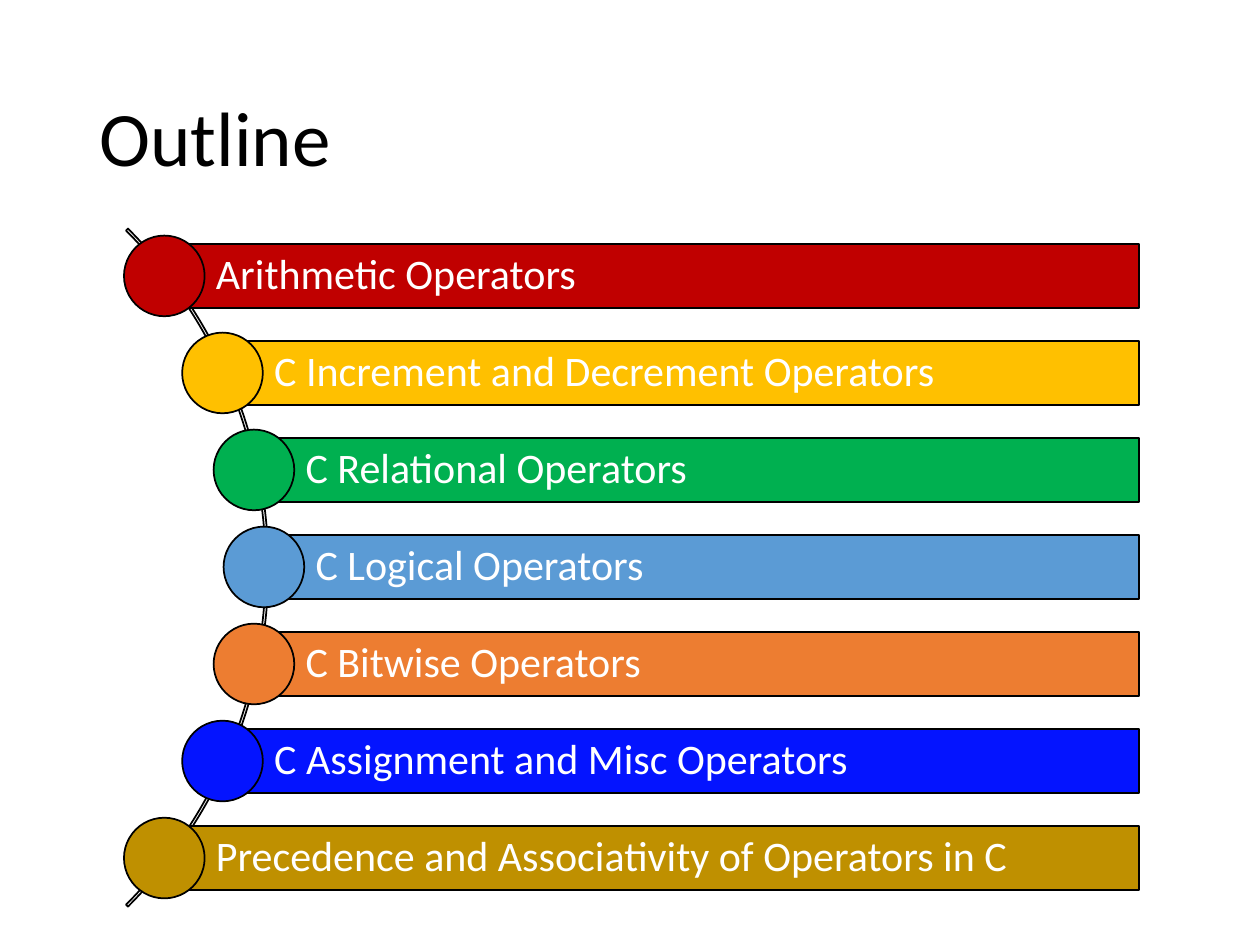
from math import sqrt

from pptx import Presentation
from pptx.dml.color import RGBColor
from pptx.enum.shapes import MSO_SHAPE
from pptx.enum.text import MSO_ANCHOR, PP_ALIGN
from pptx.util import Inches, Pt

BLACK = RGBColor(0x00, 0x00, 0x00)
WHITE = RGBColor(0xFF, 0xFF, 0xFF)
RED = RGBColor(0xC0, 0x00, 0x00)
AMBER = RGBColor(0xFF, 0xC0, 0x00)
GREEN = RGBColor(0x00, 0xB0, 0x50)
SKY = RGBColor(0x5B, 0x9B, 0xD5)
ORANGE = RGBColor(0xED, 0x7D, 0x31)
BLUE = RGBColor(0x04, 0x14, 0xFF)
GOLD = RGBColor(0xBF, 0x90, 0x00)

TOPICS = [
    ("Arithmetic Operators", RED),
    ("C Increment and Decrement Operators", AMBER),
    ("C Relational Operators", GREEN),
    ("C Logical Operators", SKY),
    ("C Bitwise Operators", ORANGE),
    ("C Assignment and Misc Operators", BLUE),
    ("Precedence and Associativity of Operators in C", GOLD),
]

ARC_LEFT, ARC_TOP, ARC_SIZE = -5.48, 0.7, 7.61
ARC_X = ARC_LEFT + ARC_SIZE / 2
DOT_RADIUS = 3.77  # distance of the dots from the arc's centre
MIDDLE_Y = 4.5
PITCH = 0.77
BAR_RIGHT, BAR_HEIGHT = 9.04, 0.51
DOT_SIZE = 0.64


def write(frame, text, *, size, color, font="Calibri", insets=(0.1, 0.05, 0.1, 0.05)):
    """Fill a text frame with one left-aligned paragraph; insets are left, top, right, bottom."""
    frame.word_wrap = True
    frame.vertical_anchor = MSO_ANCHOR.MIDDLE
    (frame.margin_left, frame.margin_top,
     frame.margin_right, frame.margin_bottom) = map(Inches, insets)
    paragraph = frame.paragraphs[0]
    paragraph.alignment = PP_ALIGN.LEFT
    paragraph.line_spacing = 0.9
    run = paragraph.add_run()
    run.text = text
    run.font.name = font
    run.font.size = Pt(size)
    run.font.color.rgb = color


class OutlineSlide:
    """Holds the current slide, its diagram group and the shared outline style."""

    def __init__(self, slide, line_color=BLACK, line_width=1):
        self.slide = slide
        self.diagram = slide.shapes.add_group_shape()
        self.line_color = line_color
        self.line_width = line_width

    def title(self, text):
        heading = self.slide.shapes.title
        heading.left, heading.top = Inches(0.69), Inches(0.4)
        heading.width, heading.height = Inches(8.62), Inches(1.45)
        write(heading.text_frame, text, size=44, color=BLACK)

    def outlined(self, preset, left, top, width, height, fill=None):
        shape = self.diagram.shapes.add_shape(
            preset, Inches(left), Inches(top), Inches(width), Inches(height))
        shape.shadow.inherit = False
        if fill is None:
            shape.fill.background()
        else:
            shape.fill.solid()
            shape.fill.fore_color.rgb = fill
        shape.line.color.rgb = self.line_color
        shape.line.width = Pt(self.line_width)
        return shape

    def arc(self):
        arc = self.outlined(MSO_SHAPE.BLOCK_ARC, ARC_LEFT, ARC_TOP, ARC_SIZE, ARC_SIZE)
        for index, value in enumerate((189, 27, 0.00284)):
            arc.adjustments[index] = value

    def bar(self, left, middle, text, fill):
        bar = self.outlined(MSO_SHAPE.RECTANGLE, left, middle - BAR_HEIGHT / 2,
                            BAR_RIGHT - left, BAR_HEIGHT, fill)
        write(bar.text_frame, text, size=24, color=WHITE,
              insets=(0.41, 0.07, 0.07, 0.07))

    def dot(self, center, middle, fill):
        self.outlined(MSO_SHAPE.OVAL, center - DOT_SIZE / 2, middle - DOT_SIZE / 2,
                      DOT_SIZE, DOT_SIZE, fill)


def main():
    presentation = Presentation()
    presentation.slide_width, presentation.slide_height = Inches(10), Inches(7.5)
    title_only = presentation.slide_layouts[5]
    outline = OutlineSlide(presentation.slides.add_slide(title_only))
    outline.title("Outline")
    outline.arc()
    for row, (topic, color) in enumerate(TOPICS):
        offset = (row - (len(TOPICS) - 1) / 2) * PITCH
        x = ARC_X + sqrt(DOT_RADIUS ** 2 - offset ** 2)
        outline.bar(x, MIDDLE_Y + offset, topic, color)
        outline.dot(x, MIDDLE_Y + offset, color)
    presentation.save("out.pptx")


if __name__ == "__main__":
    main()
